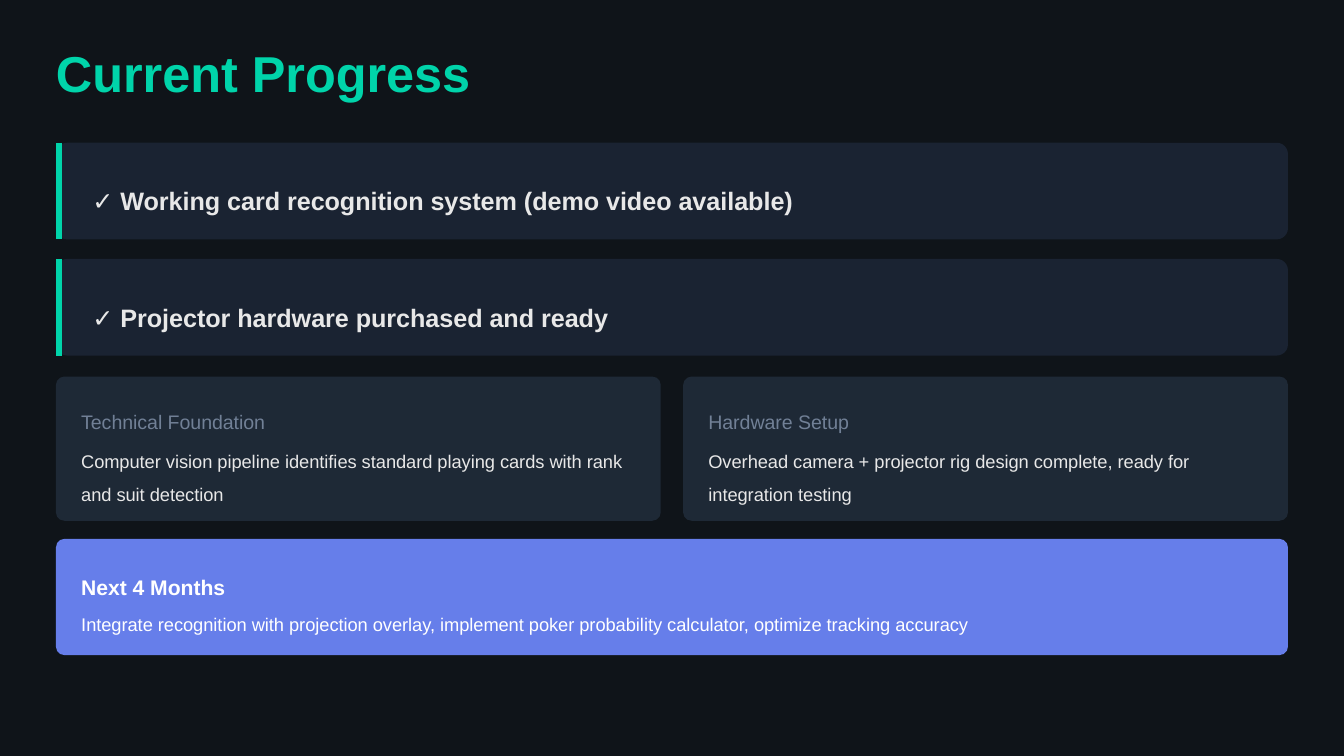
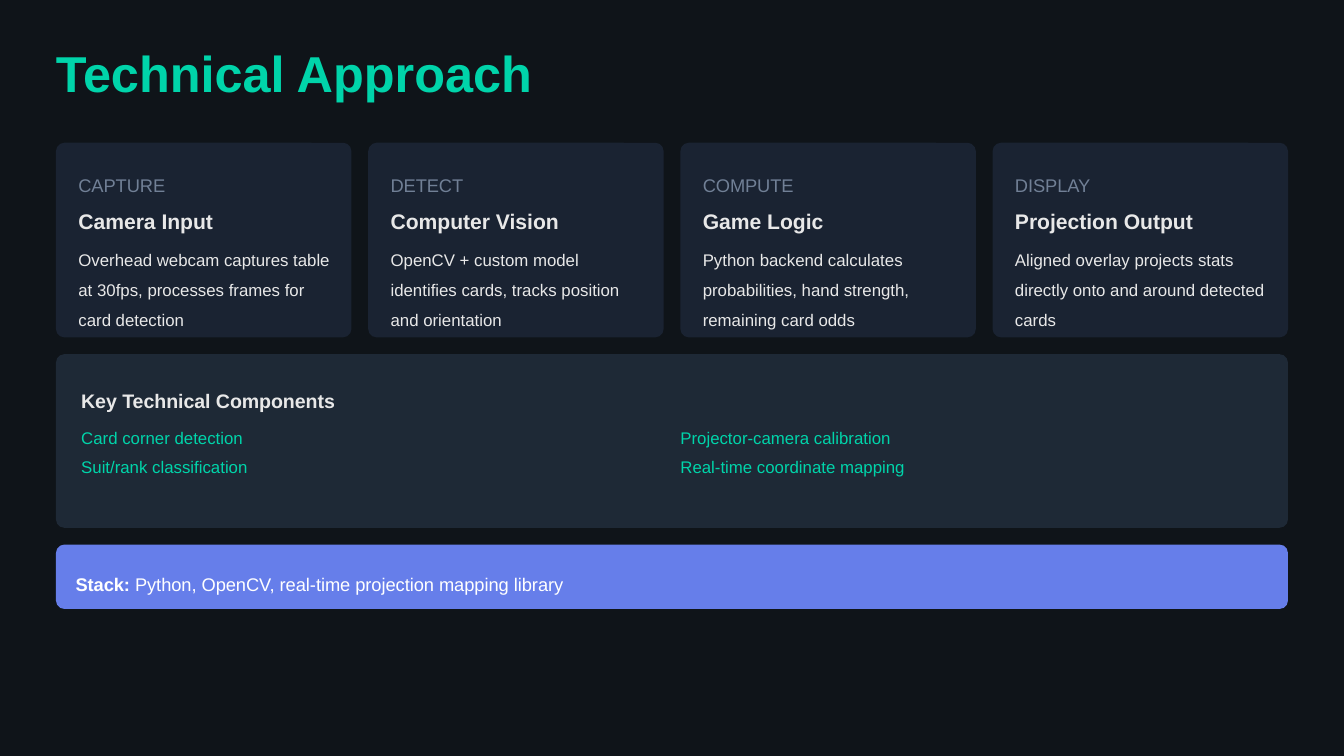
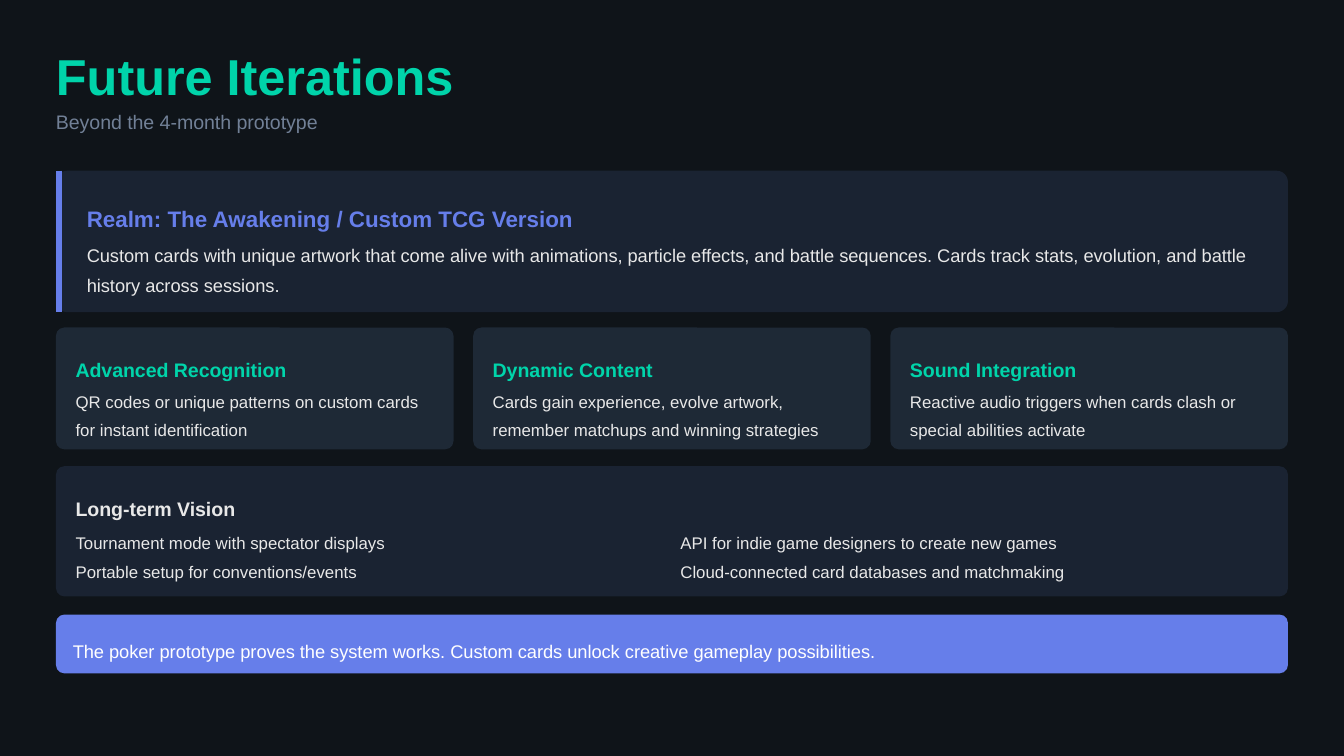
from pptx import Presentation
from pptx.dml.color import RGBColor
from pptx.enum.shapes import MSO_CONNECTOR, MSO_SHAPE
from pptx.enum.text import MSO_ANCHOR, MSO_AUTO_SIZE, PP_ALIGN
from pptx.oxml.ns import qn
from pptx.util import Pt
from lxml.etree import SubElement

PX = 9525  # EMU per px, 96 px to the inch
FONT = "Arial"
COLORS = {
    "bg": "0F1419", "panel": "1A2332", "card": "1E2936", "indigo": "667EEA",
    "green": "00D4AA", "light": "E8E8E8", "muted": "718096", "white": "FFFFFF",
}
LEFT, WIDTH = 40, 880
TITLE_ONLY, TWO_LISTS = 5, 3  # layouts of the default template


def px(*values):
    return [v * PX for v in values]


def rgb(name):
    return RGBColor.from_string(COLORS[name])


def columns(count, gap):
    """Left edges and common width of equal columns."""
    w = (WIDTH - gap * (count - 1)) // count
    return [LEFT + i * (w + gap) for i in range(count)], w


# Text

def format_frame(tf, size, color, bold=False, spacing=1.4):
    tf.margin_left = tf.margin_right = tf.margin_top = tf.margin_bottom = 0
    tf.word_wrap = True
    tf.auto_size = MSO_AUTO_SIZE.NONE
    tf.vertical_anchor = MSO_ANCHOR.TOP
    for p in tf.paragraphs:
        p.alignment = PP_ALIGN.LEFT
        p.line_spacing = spacing
        p.space_before = Pt(0)
        for r in p.runs:
            r.font.name, r.font.size, r.font.bold = FONT, Pt(size), bold
            r.font.color.rgb = rgb(color)


def place(sp, x, y, w, h):
    sp.left, sp.top, sp.width, sp.height = px(x, y, w, h)


def add_text(slide, text, x, y, w, h, size, color, bold=False, spacing=1.4):
    tf = slide.shapes.add_textbox(*px(x, y, w, h)).text_frame
    tf.text = text
    format_frame(tf, size, color, bold, spacing)
    return tf


def add_list(slide, idx, items, x, y, w, color):
    sp = slide.placeholders[idx]
    place(sp, x, y, w, 37)
    sp.text_frame.text = "\n".join(items)
    format_frame(sp.text_frame, 9, color)
    for p in sp.text_frame.paragraphs:
        pPr = p._p.get_or_add_pPr()
        pPr.set("marL", "0")
        pPr.set("indent", "0")
        SubElement(pPr, qn("a:buNone"))
    slide.shapes._spTree.append(sp._element)  # above its panel


# Panels

def add_panel(slide, x, y, w, h, fill, radius=6):
    sp = slide.shapes.add_shape(MSO_SHAPE.ROUNDED_RECTANGLE, *px(x, y, w, h))
    sp.adjustments[0] = radius / min(w, h)
    sp.shadow.inherit = False
    sp.fill.solid()
    sp.fill.fore_color.rgb = rgb(fill)
    sp.line.fill.background()


def add_accent_panel(slide, y, h, accent):
    add_panel(slide, LEFT, y, WIDTH, h, "panel", radius=8)
    x = LEFT + 2
    line = slide.shapes.add_connector(MSO_CONNECTOR.STRAIGHT, *px(x, y, x, y + h))
    line.line.color.rgb = rgb(accent)
    line.line.width = Pt(3)
    SubElement(line._element.spPr, qn("a:effectLst"))


def add_slide(prs, layout, title, top=30):
    slide = prs.slides.add_slide(prs.slide_layouts[layout])
    sp = slide.shapes.title
    place(sp, LEFT, top, 450, 36)
    sp.text_frame.text = title
    format_frame(sp.text_frame, 27, "green", bold=True, spacing=1.0)
    return slide


# Slides

def add_progress(prs):
    slide = add_slide(prs, TITLE_ONLY, "Current Progress")
    done = ["✓ Working card recognition system (demo video available)",
            "✓ Projector hardware purchased and ready"]
    for i, text in enumerate(done):
        y = 102 + i * 83
        add_accent_panel(slide, y, 69, "green")
        add_text(slide, text, 66, y + 22, 849, 25, 13.5, "light", bold=True)

    cards = [
        ("Technical Foundation", "Computer vision pipeline identifies standard "
         "playing cards with rank and suit detection"),
        ("Hardware Setup", "Overhead camera + projector rig design complete, "
         "ready for integration testing"),
    ]
    lefts, w = columns(2, 16)
    for x, (head, body) in zip(lefts, cards):
        add_panel(slide, x, 269, w, 103, "card")
        add_text(slide, head, x + 18, 286, 404, 19, 10.5, "muted")
        add_text(slide, body, x + 18, 314, 404, 39, 9.75, "light", spacing=1.5)

    add_panel(slide, LEFT, 385, WIDTH, 83, "indigo")
    add_text(slide, "Next 4 Months", 58, 403, 861, 21, 11.25, "white", bold=True)
    add_text(slide, "Integrate recognition with projection overlay, implement poker "
             "probability calculator, optimize tracking accuracy",
             58, 430, 861, 19, 9.75, "white", spacing=1.5)


def add_approach(prs):
    slide = add_slide(prs, TWO_LISTS, "Technical Approach")
    stages = [
        ("CAPTURE", "Camera Input", "Overhead webcam captures table at 30fps, "
         "processes frames for card detection"),
        ("DETECT", "Computer Vision", "OpenCV + custom model identifies cards, "
         "tracks position and orientation"),
        ("COMPUTE", "Game Logic", "Python backend calculates probabilities, "
         "hand strength, remaining card odds"),
        ("DISPLAY", "Projection Output", "Aligned overlay projects stats directly "
         "onto and around detected cards"),
    ]
    lefts, w = columns(4, 12)
    for x, (stage, head, body) in zip(lefts, stages):
        add_panel(slide, x, 102, w, 139, "panel")
        add_text(slide, stage, x + 16, 118, 182, 18, 9.75, "muted")
        add_text(slide, head, x + 16, 142, 182, 21, 11.25, "light", bold=True)
        add_text(slide, body, x + 16, 171, 182, 54, 9, "light", spacing=1.5)

    add_panel(slide, LEFT, 253, WIDTH, 124, "card")
    add_text(slide, "Key Technical Components", 58, 271, 861, 19, 10.5, "light",
             bold=True)
    add_list(slide, 1, ["Card corner detection", "Suit/rank classification"],
             58, 300, 424, "green")
    add_list(slide, 2, ["Projector-camera calibration",
                        "Real-time coordinate mapping"], 486, 300, 424, "green")

    add_panel(slide, LEFT, 389, WIDTH, 46, "indigo")
    tf = add_text(slide, "Stack:", 54, 403, 869, 18, 9.75, "white")
    tf.paragraphs[0].add_run().text = " Python, OpenCV, real-time projection mapping library"
    format_frame(tf, 9.75, "white")
    tf.paragraphs[0].runs[0].font.bold = True


def add_future(prs):
    slide = add_slide(prs, TWO_LISTS, "Future Iterations", top=32)
    add_text(slide, "Beyond the 4-month prototype", LEFT, 72, 898, 19, 10.5, "muted")

    add_accent_panel(slide, 122, 101, "indigo")
    add_text(slide, "Realm: The Awakening / Custom TCG Version", 62, 139, 857, 22,
             12, "indigo", bold=True)
    add_text(slide, "Custom cards with unique artwork that come alive with animations, "
             "particle effects, and battle sequences. Cards track stats, evolution, "
             "and battle history across sessions.", 62, 168, 857, 36, 9.75, "light")

    features = [
        ("Advanced Recognition", "QR codes or unique patterns on custom cards for "
         "instant identification"),
        ("Dynamic Content", "Cards gain experience, evolve artwork, remember "
         "matchups and winning strategies"),
        ("Sound Integration", "Reactive audio triggers when cards clash or special "
         "abilities activate"),
    ]
    lefts, w = columns(3, 14)
    for x, (head, body) in zip(lefts, features):
        add_panel(slide, x, 234, w, 87, "card")
        add_text(slide, head, x + 14, 249, 261, 19, 10.5, "green", bold=True)
        add_text(slide, body, x + 14, 274, 261, 34, 9, "light")

    add_panel(slide, LEFT, 333, WIDTH, 93, "panel")
    add_text(slide, "Long-term Vision", 54, 348, 869, 19, 10.5, "light", bold=True)
    add_list(slide, 1, ["Tournament mode with spectator displays",
                        "Portable setup for conventions/events"],
             54, 375, 428, "light")
    add_list(slide, 2, ["API for indie game designers to create new games",
                        "Cloud-connected card databases and matchmaking"],
             486, 375, 428, "light")

    add_panel(slide, LEFT, 439, WIDTH, 42, "indigo")
    add_text(slide, "The poker prototype proves the system works. Custom cards unlock "
             "creative gameplay possibilities.", 52, 451, 874, 18, 9.75, "white")


def main():
    prs = Presentation()
    prs.slide_width, prs.slide_height = px(960, 540)
    fill = prs.slide_master.background.fill
    fill.solid()
    fill.fore_color.rgb = rgb("bg")
    add_progress(prs)
    add_approach(prs)
    add_future(prs)
    prs.save("out.pptx")


if __name__ == "__main__":
    main()
